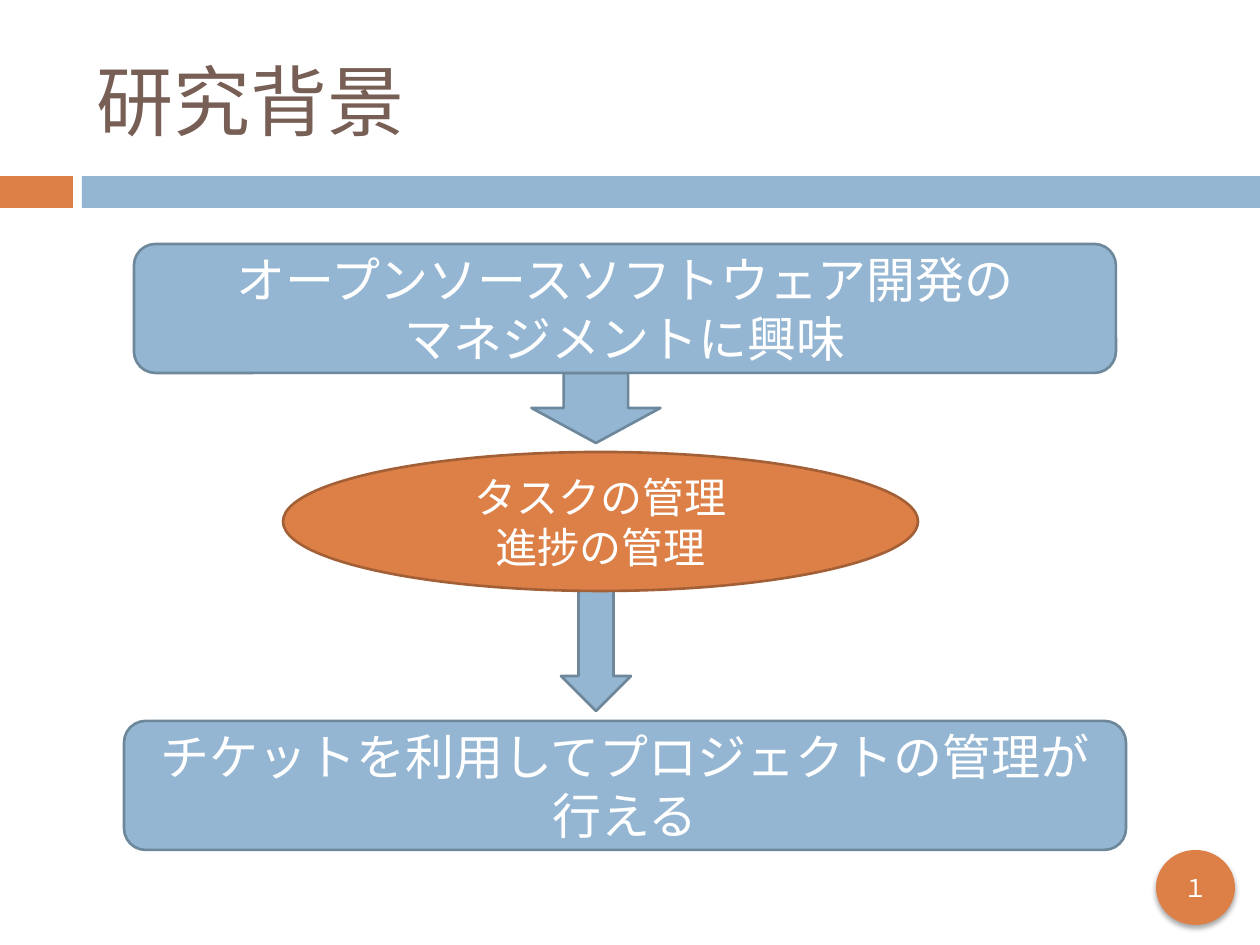
import pptx
import pptx.util
import pptx.dml.color
import pptx.enum.shapes
import pptx.enum.text
import pptx.oxml.ns
import lxml.etree

SCALE = 914400 / 126
SLIDE_WIDTH, SLIDE_HEIGHT = 1260, 945
FONT = "Calibri"
COLORS = {
    "blue": "94B6D2",
    "blue_edge": "6D879B",
    "orange": "DD8047",
    "orange_edge": "A35F35",
    "title": "775F55",
    "white": "FFFFFF",
    "shadow": "000000",
}
SHAPES = pptx.enum.shapes.MSO_SHAPE
ALIGN = pptx.enum.text.PP_ALIGN


def emu(px):
    """Turn px into EMU."""
    return pptx.util.Emu(round(px * SCALE))


def rgb(name):
    """Look up a palette colour."""
    return pptx.dml.color.RGBColor.from_string(COLORS[name])


def write_text(shape, text, size, color="white", align=ALIGN.CENTER):
    """Write one paragraph per line, centred vertically in the shape."""
    frame = shape.text_frame
    frame.word_wrap = True
    frame.auto_size = pptx.enum.text.MSO_AUTO_SIZE.NONE
    frame.vertical_anchor = pptx.enum.text.MSO_ANCHOR.MIDDLE
    frame.text = text
    for paragraph in frame.paragraphs:
        paragraph.alignment = align
        for run in paragraph.runs:
            run.font.name = FONT
            run.font.size = pptx.util.Pt(size)
            run.font.color.rgb = rgb(color)


def add_block(slide, kind, box, fill, edge=None):
    """Add a flat preset shape, outlined when an edge colour is given."""
    shape = slide.shapes.add_shape(kind, *map(emu, box))
    shape.shadow.inherit = False
    shape.fill.solid()
    shape.fill.fore_color.rgb = rgb(fill)
    if edge:
        shape.line.color.rgb = rgb(edge)
        shape.line.width = pptx.util.Pt(1.5)
    else:
        shape.line.fill.background()
    return shape


def add_soft_shadow(shape):
    """Put a soft shadow below a shape."""
    qn = pptx.oxml.ns.qn
    effects = shape._element.spPr.find(qn("a:effectLst"))
    shadow = lxml.etree.SubElement(
        effects, qn("a:outerShdw"), blurRad=str(pptx.util.Pt(3)),
        dist=str(pptx.util.Pt(2)), dir="5400000", rotWithShape="0")
    color = lxml.etree.SubElement(shadow, qn("a:srgbClr"), val=COLORS["shadow"])
    lxml.etree.SubElement(color, qn("a:alpha"), val="35000")


def build_header(slide, left, top, width, height):
    """Place the title above the two-colour band."""
    band_height, accent_width, gap = 32, 73, 9
    band_top = top + height - band_height
    band_left = left + accent_width + gap
    add_block(slide, SHAPES.RECTANGLE,
              (left, band_top, accent_width, band_height), "orange")
    add_block(slide, SHAPES.RECTANGLE,
              (band_left, band_top, width - band_left, band_height), "blue")
    title = slide.shapes.title
    title.left, title.top = emu(left + 84), emu(top + 32)
    title.width, title.height = emu(1124), emu(136)
    write_text(title, "研究背景", size=44, color="title", align=ALIGN.LEFT)


def build_flow(slide, left, top, width, height):
    """Place the three steps and the arrows leading down between them."""
    box_height = 129
    arrow_center = left + 472
    for arrow_top, arrow_width, arrow_height in ((129, 129, 70), (328, 70, 139)):
        add_block(slide, SHAPES.DOWN_ARROW,
                  (arrow_center - arrow_width / 2, top + arrow_top,
                   arrow_width, arrow_height), "blue", "blue_edge")
    steps = (
        (SHAPES.ROUNDED_RECTANGLE, (left + 10, top, width - 20, box_height),
         "blue", 28, "オープンソースソフトウェア開発の\nマネジメントに興味"),
        (SHAPES.OVAL, (left + 159, top + 208, 635, 139),
         "orange", 24, "タスクの管理\n進捗の管理"),
        (SHAPES.ROUNDED_RECTANGLE,
         (left, top + height - box_height, width, box_height),
         "blue", 28, "チケットを利用してプロジェクトの管理が行える"),
    )
    for kind, box, color, size, text in steps:
        step = add_block(slide, kind, box, color, f"{color}_edge")
        write_text(step, text, size=size)


def build_page_badge(slide, left, top, width, height):
    """Place the round page number."""
    badge = add_block(slide, SHAPES.OVAL, (left, top, width, height), "orange")
    add_soft_shadow(badge)
    write_text(badge, "１", size=14)
    frame = badge.text_frame
    frame.margin_left = frame.margin_right = 0
    frame.margin_top = frame.margin_bottom = 0


def main():
    """Build and save the slide."""
    deck = pptx.Presentation()
    deck.slide_width, deck.slide_height = emu(SLIDE_WIDTH), emu(SLIDE_HEIGHT)
    slide = deck.slides.add_slide(deck.slide_layouts.get_by_name("Title Only"))
    build_header(slide, 0, 0, SLIDE_WIDTH, 208)
    build_flow(slide, 124, 244, 1002, 606)
    build_page_badge(slide, 1156, 850, 79, 75)
    deck.save("out.pptx")


if __name__ == "__main__":
    main()
